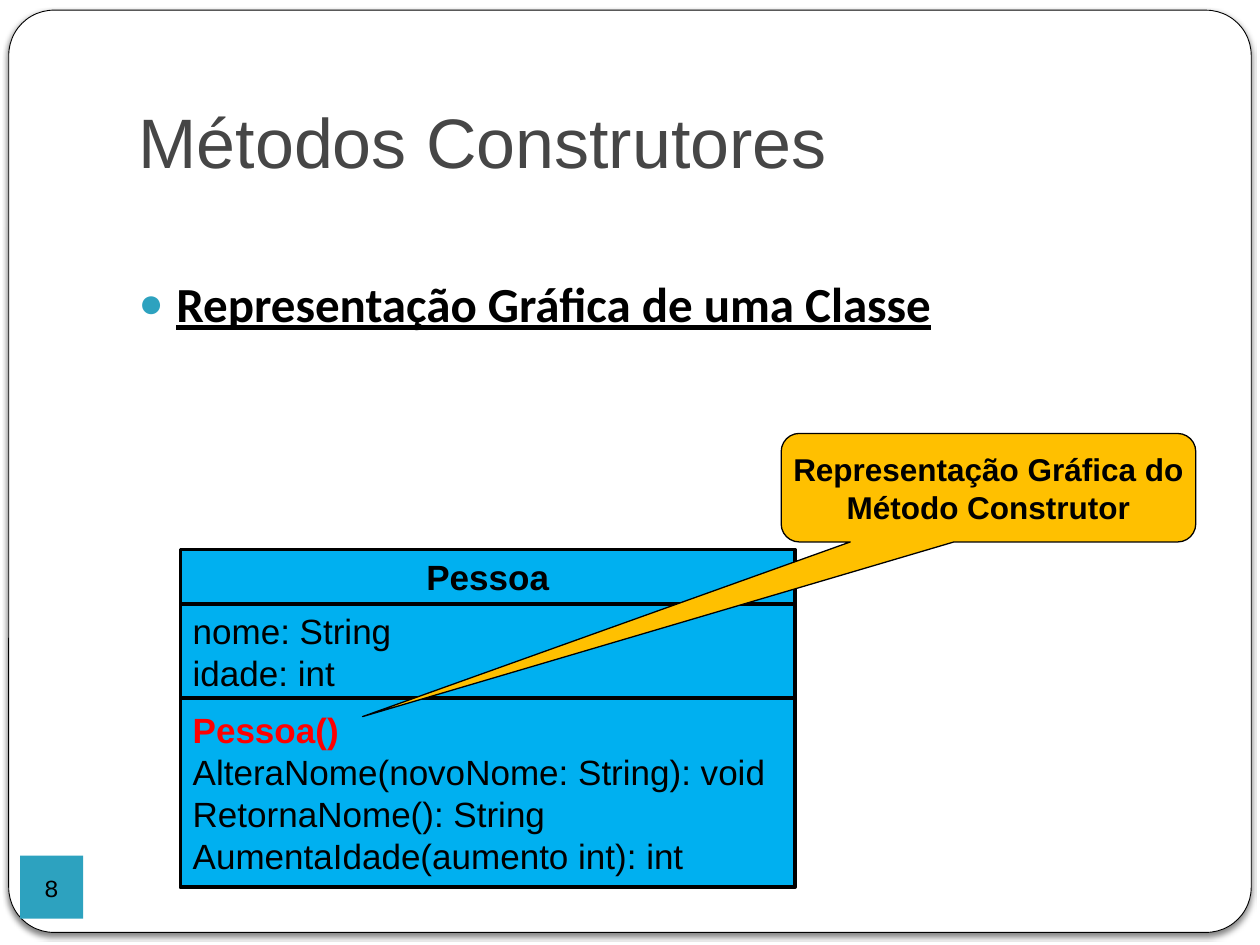
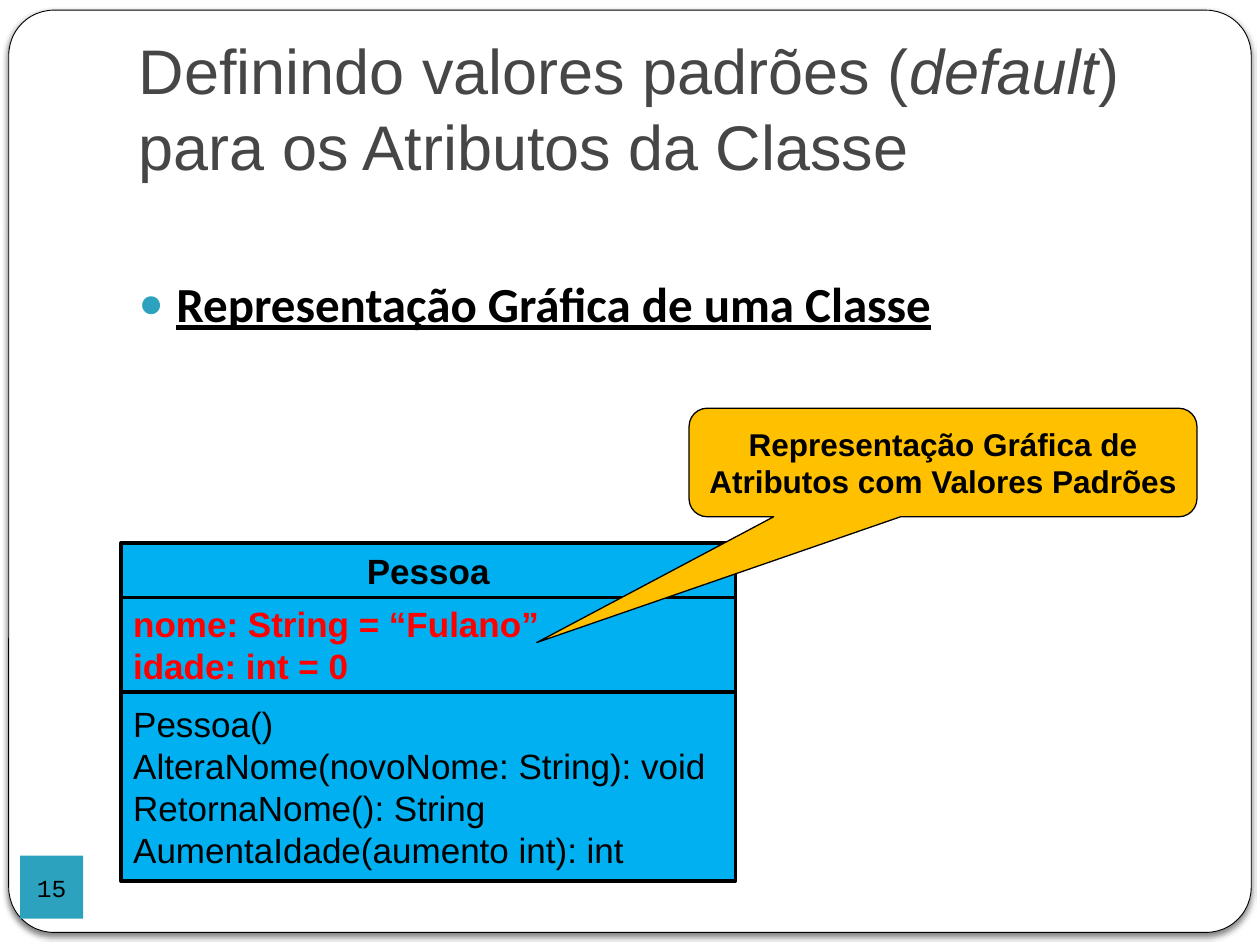
import pptx
import pptx.dml.color
import pptx.enum.shapes
import pptx.enum.text
import pptx.oxml
import pptx.oxml.ns
import pptx.util

Pt = pptx.util.Pt
RGBColor = pptx.dml.color.RGBColor
SHAPE = pptx.enum.shapes.MSO_SHAPE
ALIGN = pptx.enum.text.PP_ALIGN
ANCHOR = pptx.enum.text.MSO_ANCHOR

BLACK = RGBColor(0x00, 0x00, 0x00)
WHITE = RGBColor(0xFF, 0xFF, 0xFF)
GREY = RGBColor(0x46, 0x46, 0x46)
TEAL = RGBColor(0x2D, 0xA2, 0xBF)
BLUE = RGBColor(0x00, 0xB0, 0xF0)
RED = RGBColor(0xFF, 0x00, 0x00)
AMBER = RGBColor(0xFF, 0xC0, 0x00)

HEADING = "Representação Gráfica de uma Classe"
CLASS_WIDTH = 351.4
HEADER_HEIGHT, ATTRIBUTES_HEIGHT, METHODS_HEIGHT = 31, 54, 108
METHODS = ["AlteraNome(novoNome: String): void",
           "RetornaNome(): String",
           "AumentaIdade(aumento int): int"]


def add_span(para, text, size, font="Arial", color=BLACK, bold=False, italic=False):
    span = para.add_run()
    span.text = text
    span.font.name = font
    span.font.size = Pt(size)
    span.font.color.rgb = color
    span.font.bold = bold
    span.font.italic = italic
    return span


def add_xml(parent, tag, attributes="", content=""):
    """Append a drawing element to parent, with the a: prefix declared."""
    namespace = pptx.oxml.ns.nsdecls("a")
    parent.append(pptx.oxml.parse_xml(
        f"<a:{tag} {namespace} {attributes}>{content}</a:{tag}>"))


def add_box(shapes, kind, left, top, width, height, fill, line_width=0):
    box = shapes.add_shape(kind, Pt(left), Pt(top), Pt(width), Pt(height))
    box.shadow.inherit = False
    box.fill.solid()
    box.fill.fore_color.rgb = fill
    if line_width:
        box.line.color.rgb = BLACK
        box.line.width = Pt(line_width)
    else:
        box.line.fill.background()
    return box


def write_lines(box, lines, size, align=ALIGN.LEFT, font="Arial", wrap=True):
    """Write one paragraph for each (text, color, bold) line."""
    frame = box.text_frame
    frame.word_wrap = wrap
    frame.vertical_anchor = ANCHOR.MIDDLE
    for index, (text, color, bold) in enumerate(lines):
        para = frame.add_paragraph() if index else frame.paragraphs[0]
        para.alignment = align
        add_span(para, text, size, font, color, bold)


def place(box, left, top, width, height):
    box.left, box.top, box.width, box.height = map(Pt, (left, top, width, height))
    box.text_frame.word_wrap = True
    box.text_frame.auto_size = pptx.enum.text.MSO_AUTO_SIZE.NONE


def add_master_frame(deck, page):
    """Put the rounded slide border behind everything, on the master."""
    border = add_box(page.shapes, SHAPE.ROUNDED_RECTANGLE, 5, 5.8, 710, 527, WHITE, 0.5)
    border.adjustments[0] = 0.049
    effects = border.element.spPr.find(pptx.oxml.ns.qn("a:effectLst"))
    add_xml(effects, "outerShdw",
            f'blurRad="{Pt(3)}" dist="{Pt(2)}" dir="5400000" rotWithShape="0"',
            f'<a:srgbClr val="{BLACK}"><a:alpha val="50000"/></a:srgbClr>')
    deck.slide_master.shapes.element.insert(2, border.element)


def write_title(page, spans, size):
    """Write (text, italic) spans into the title."""
    title = page.shapes.title
    place(title, 72, 21.6, 612, 90)
    title.text_frame.vertical_anchor = ANCHOR.BOTTOM
    title.text_frame.margin_bottom = Pt(7.2)
    para = title.text_frame.paragraphs[0]
    para.alignment = ALIGN.LEFT
    for text, italic in spans:
        add_span(para, text, size, color=GREY, italic=italic)


def write_heading(page):
    body = page.placeholders[1]
    place(body, 72, 152.6, 612, 321)
    para = body.text_frame.paragraphs[0]
    para.space_before = Pt(0)
    add_span(para, HEADING, 28, "Calibri", bold=True).font.underline = True
    properties = para._p.get_or_add_pPr()
    properties.set("marL", str(Pt(21.6)))
    properties.set("indent", str(Pt(-21.6)))
    add_xml(properties, "buClr", content=f'<a:srgbClr val="{TEAL}"/>')
    add_xml(properties, "buSzPct", 'val="85000"')
    add_xml(properties, "buFont", 'typeface="Arial"')
    add_xml(properties, "buChar", 'char="●"')


def add_page_number(page, number):
    box = add_box(page.shapes, SHAPE.RECTANGLE, 11.5, 489, 36, 36, TEAL)
    frame = box.text_frame
    frame.margin_left = frame.margin_right = frame.margin_top = frame.margin_bottom = 0
    write_lines(box, [(number, BLACK, False)], 14, ALIGN.CENTER, "Courier New")


def add_class_diagram(page, left, top, attributes, methods):
    group = page.shapes.add_group_shape()
    compartments = [
        (HEADER_HEIGHT, [("Pessoa", BLACK, True)], ALIGN.CENTER),
        (ATTRIBUTES_HEIGHT, attributes, ALIGN.LEFT),
        (METHODS_HEIGHT, methods, ALIGN.LEFT),
    ]
    for height, lines, align in compartments:
        box = add_box(group.shapes, SHAPE.RECTANGLE, left, top, CLASS_WIDTH, height, BLUE, 2)
        write_lines(box, lines, 20, align)
        top += height


def add_callout(page, left, top, width, tip, texts):
    """Add a callout whose tip is given relative to its own size."""
    box = add_box(page.shapes, SHAPE.ROUNDED_RECTANGULAR_CALLOUT,
                  left, top, width, 62, AMBER, 0.75)
    box.adjustments[0], box.adjustments[1] = tip
    write_lines(box, [(text, BLACK, True) for text in texts], 18, ALIGN.CENTER, wrap=False)


def add_page(deck, number, title_spans, title_size):
    page = deck.slides.add_slide(deck.slide_layouts[1])
    write_title(page, title_spans, title_size)
    write_heading(page)
    add_page_number(page, number)
    return page


def plain(texts):
    return [(text, BLACK, False) for text in texts]


def highlighted(texts):
    return [(text, RED, True) for text in texts]


def main():
    deck = pptx.Presentation()
    deck.slide_width, deck.slide_height = Pt(720), Pt(540)

    page = add_page(deck, "8", [("Métodos Construtores", False)], 40)
    add_master_frame(deck, page)
    add_class_diagram(page, 103, 314, plain(["nome: String", "idade: int"]),
                      highlighted(["Pessoa()"]) + plain(METHODS))
    add_callout(page, 446.4, 247.7, 236.9, (-1.51, 2.11),
                ["Representação Gráfica do", "Método Construtor"])

    page = add_page(deck, "15", [("Definindo valores padrões (", False), ("default", True),
                                 (") para os Atributos da Classe", False)], 36)
    add_class_diagram(page, 69, 310.4,
                      highlighted(["nome: String = “Fulano”", "idade: int = 0"]),
                      plain(["Pessoa()"] + METHODS))
    add_callout(page, 393.8, 233.3, 290.2, (-0.8, 1.66),
                ["Representação Gráfica de", "Atributos com Valores Padrões"])

    deck.save("out.pptx")


if __name__ == "__main__":
    main()
